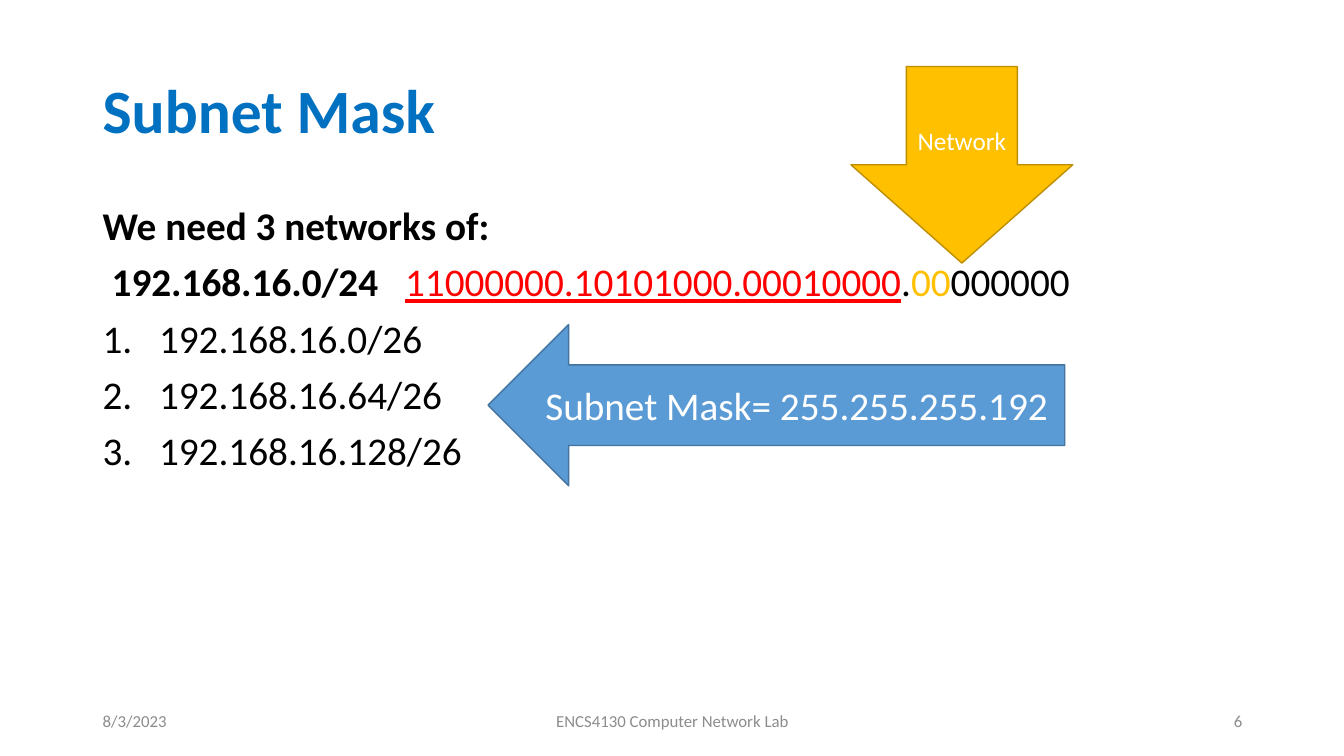
from lxml import etree
from pptx import Presentation
from pptx.dml.color import RGBColor
from pptx.enum.shapes import MSO_SHAPE
from pptx.enum.text import MSO_ANCHOR, PP_ALIGN
from pptx.oxml.ns import qn
from pptx.util import Inches, Pt

BLUE = RGBColor(0x00, 0x70, 0xC0)
BLACK = RGBColor(0x00, 0x00, 0x00)
WHITE = RGBColor(0xFF, 0xFF, 0xFF)
RED = RGBColor(0xFF, 0x00, 0x00)
GOLD = RGBColor(0xFF, 0xC0, 0x00)
GOLD_EDGE = RGBColor(0xBD, 0x8E, 0x00)
SKY = RGBColor(0x5B, 0x9B, 0xD5)
SKY_EDGE = RGBColor(0x43, 0x73, 0x9E)
GRAY = RGBColor(0x8C, 0x8C, 0x8C)
LEFT, CENTER, RIGHT = PP_ALIGN.LEFT, PP_ALIGN.CENTER, PP_ALIGN.RIGHT
TOP, MIDDLE = MSO_ANCHOR.TOP, MSO_ANCHOR.MIDDLE
DOWN_ARROW, LEFT_ARROW = MSO_SHAPE.DOWN_ARROW, MSO_SHAPE.LEFT_ARROW
FONT = "Calibri"


def style(para, size, color, bold=False, align=LEFT):
    font = para.font
    font.name, font.size, font.bold = FONT, Pt(size), bold
    font.color.rgb = color
    para.alignment = align


def add_box(slide, box, anchor):
    frame = slide.shapes.add_textbox(*map(Inches, box)).text_frame
    frame.word_wrap = True
    frame.vertical_anchor = anchor
    return frame


def add_title(slide, box, text):
    para = add_box(slide, box, MIDDLE).paragraphs[0]
    para.text = text
    para.line_spacing = 0.9
    style(para, 44, BLUE, bold=True)


def add_tag(para, tag, **attrs):
    """Append a child to the paragraph properties."""
    values = {key: str(val) for key, val in attrs.items()}
    return etree.SubElement(para._p.get_or_add_pPr(), qn(tag), values)


def add_body(slide, box, head, block, bits, nets):
    frame = add_box(slide, box, TOP)
    first = frame.paragraphs[0]
    first.text = head

    # Address block, then its bits at a tab stop
    row = frame.add_paragraph()
    row._p.get_or_add_pPr().set("indent", str(Inches(0.09)))
    tabs = add_tag(row, "a:tabLst")
    etree.SubElement(tabs, qn("a:tab"), pos=str(Inches(3.26)), algn="l")
    name = row.add_run()
    name.text = block + "\t"
    name.font.bold = True
    for text, color, under in bits:
        run = row.add_run()
        run.text = text
        run.font.color.rgb = color
        run.font.underline = under

    # Numbered subnets
    for net in nets:
        para = frame.add_paragraph()
        para.text = net
        props = para._p.get_or_add_pPr()
        props.set("marL", str(Inches(0.56)))
        props.set("indent", str(-Inches(0.56)))
        add_tag(para, "a:buFont", typeface="+mj-lt")
        add_tag(para, "a:buAutoNum", type="arabicPeriod")

    for para in frame.paragraphs:
        para.line_spacing = 0.9
        para.space_before = Pt(10)
        style(para, 28, BLACK, bold=para is first or para.text == head)


def add_arrow(slide, box, kind, fill, edge, text, size):
    arrow = slide.shapes.add_shape(kind, *map(Inches, box))
    arrow.shadow.inherit = False
    arrow.fill.solid()
    arrow.fill.fore_color.rgb = fill
    arrow.line.color.rgb = edge
    arrow.line.width = Pt(1)
    frame = arrow.text_frame
    frame.word_wrap = True
    frame.vertical_anchor = MIDDLE
    para = frame.paragraphs[0]
    para.text = text
    style(para, size, WHITE, align=CENTER)


def add_footer(slide, box, date, course, number):
    left, top, width, height = box
    side, mid = 3, 4.5
    parts = [
        (date, left, side, LEFT),
        (course, left + (width - mid) / 2, mid, CENTER),
        (number, left + width - side, side, RIGHT),
    ]
    for text, x, wide, align in parts:
        para = add_box(slide, (x, top, wide, height), MIDDLE).paragraphs[0]
        para.text = text
        style(para, 12, GRAY, align=align)


deck = Presentation()
deck.slide_width, deck.slide_height = Inches(13.33), Inches(7.5)
slide = deck.slides.add_slide(deck.slide_layouts[6])

add_title(slide, (0.92, 0.4, 11.5, 1.45), "Subnet Mask")
add_body(
    slide, (0.92, 2, 11.5, 4.76),
    "We need 3 networks of:", "192.168.16.0/24",
    [
        ("11000000.10101000.00010000", RED, True),
        (".", BLACK, False),
        ("00", GOLD, False),
        ("000000", BLACK, False),
    ],
    [f"192.168.16.{host}/26" for host in range(0, 192, 64)],
)
add_arrow(slide, (8.44, 0.66, 2.2, 1.95), DOWN_ARROW, GOLD, GOLD_EDGE,
          "Network", 18)
add_arrow(slide, (4.84, 3.22, 5.72, 1.6), LEFT_ARROW, SKY, SKY_EDGE,
          "Subnet Mask= 255.255.255.192", 28)
add_footer(slide, (0.92, 6.95, 11.5, 0.4),
           "8/3/2023", "ENCS4130 Computer Network Lab", "6")

deck.save("out.pptx")
